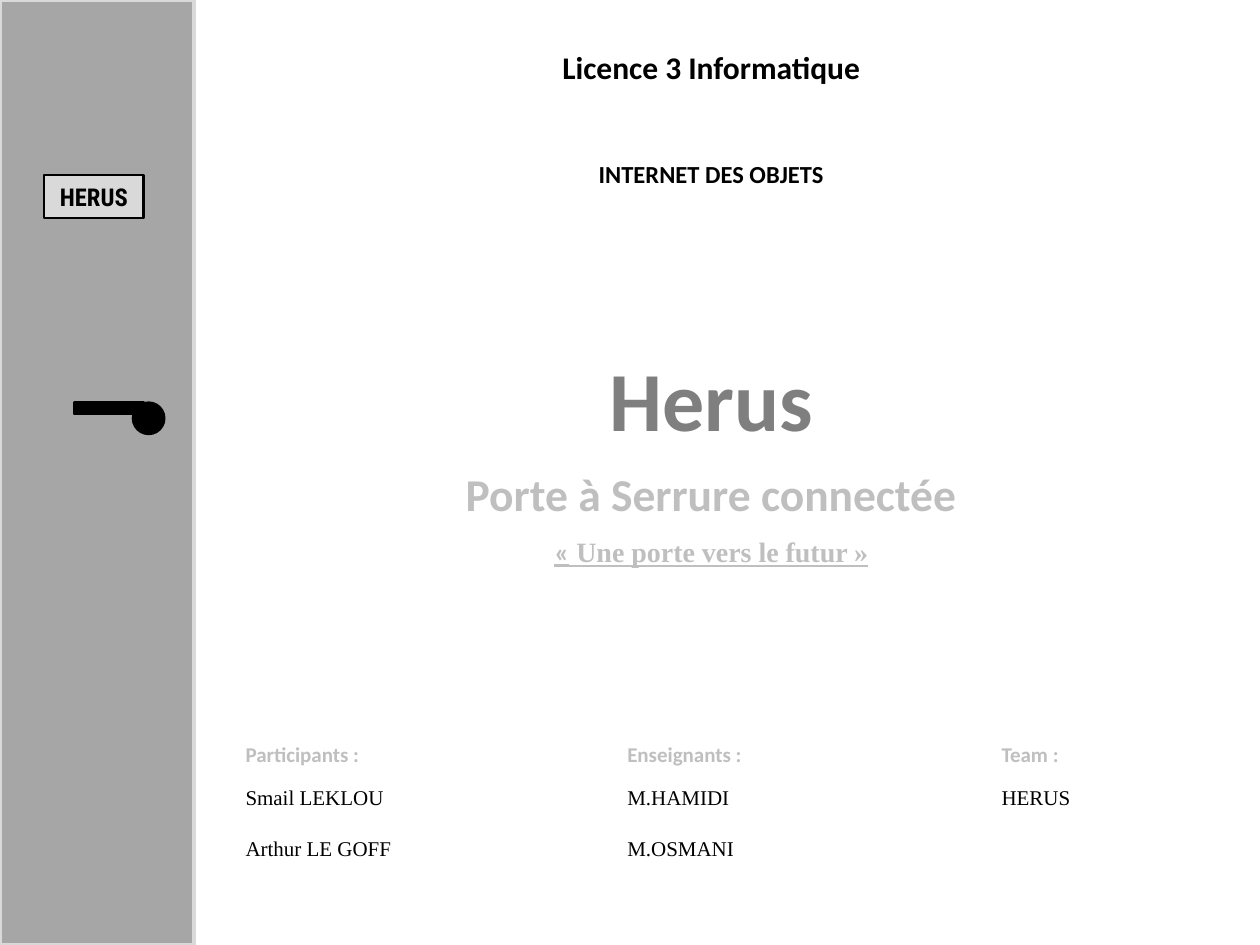
from pptx import Presentation
from pptx import util as u
from pptx.dml.color import RGBColor
from pptx.enum import shapes, text
from pptx.oxml.ns import qn
from lxml import etree

COLORS = {
    "door": "A6A6A6",
    "plate": "D9D9D9",
    "black": "000000",
    "white": "FFFFFF",
    "title": "7F7F7F",
    "soft": "BFBFBF",
}
SANS, SERIF, PLATE = "Calibri", "Times New Roman", "Roboto Condensed"
RECT, OVAL = shapes.MSO_SHAPE.RECTANGLE, shapes.MSO_SHAPE.OVAL
COLUMN_TABS = (3.03, 6.0)


class Builder:
    def __init__(self, page):
        self.page = page

    def color(self, name):
        return RGBColor.from_string(COLORS[name])

    def shape(self, kind, left, top, width, height, fill, line=None, weight=2):
        box = self.page.shapes.add_shape(
            kind, *(u.Inches(n) for n in (left, top, width, height)))
        box.shadow.inherit = False
        box.fill.solid()
        box.fill.fore_color.rgb = self.color(fill)
        if line:
            box.line.color.rgb = self.color(line)
            box.line.width = u.Pt(weight)
        else:
            box.line.fill.background()
        return box

    def paragraph(self, box, first=False, before=0, after=10, centered=True):
        frame = box.text_frame
        para = frame.paragraphs[0] if first else frame.add_paragraph()
        para.alignment = text.PP_ALIGN.CENTER if centered else text.PP_ALIGN.LEFT
        para.space_before, para.space_after = u.Pt(before), u.Pt(after)
        return para

    def span(self, para, words, size, color="black", font=SANS, bold=True,
             underline=False):
        span = para.add_run()
        span.text = words
        span.font.size = u.Pt(size)
        span.font.name = font
        span.font.bold = bold
        span.font.underline = underline
        span.font.color.rgb = self.color(color)

    def columns(self, box, cells, before, after=0, **style):
        para = self.paragraph(box, before=before, after=after, centered=False)
        self.span(para, "\t".join(cells), 12, **style)
        tabs = etree.SubElement(para._p.get_or_add_pPr(), qn("a:tabLst"))
        for position in COLUMN_TABS:
            etree.SubElement(tabs, qn("a:tab"), pos=str(u.Inches(position)), algn="l")


def main():
    deck = Presentation()
    deck.slide_width, deck.slide_height = u.Inches(10), u.Inches(7.5)
    build = Builder(deck.slides.add_slide(deck.slide_layouts[6]))

    # Door with its name plate
    build.shape(RECT, 0, 0, 1.54, 7.5, "door", "plate")
    plate = build.shape(RECT, 0.35, 1.39, 0.79, 0.34, "plate", "black", 1.5)
    plate.text_frame.word_wrap = False
    plate.text_frame.vertical_anchor = text.MSO_ANCHOR.MIDDLE
    build.span(build.paragraph(plate, first=True, after=0), "HERUS", 14, font=PLATE)

    # Door handle
    build.shape(OVAL, 1.06, 3.2, 0.24, 0.24, "black", "black")
    build.shape(RECT, 0.59, 3.2, 0.55, 0.08, "black", "black")

    # Cover text panel
    panel = build.shape(RECT, 1.85, 0, 7.59, 7.37, "white")
    frame = panel.text_frame
    frame.word_wrap = True
    frame.vertical_anchor = text.MSO_ANCHOR.TOP
    frame.margin_top = u.Inches(0.38)

    # Course, title and subtitle: words, size, colour, space before and after
    headings = [
        ("Licence 3 Informatique", 18, "black", 0, 10),
        ("INTERNET DES OBJETS", 14, "black", 32, 10),
        ("Herus", 48, "title", 81, 10),
        ("Porte à Serrure connectée", 26, "soft", 0, 8),
    ]
    for index, (words, size, color, before, after) in enumerate(headings):
        para = build.paragraph(panel, index == 0, before, after)
        build.span(para, words, size, color)

    # Tagline
    tagline = build.paragraph(panel)
    for words, font in (("«", SANS), (" Une porte vers le futur »", SERIF)):
        build.span(tagline, words, 16, "soft", font, underline=True)

    # People, in three columns
    build.columns(panel, ("Participants :", "Enseignants :", "Team :"),
                  before=89, after=10, color="soft")
    people = [("Smail LEKLOU", "M.HAMIDI", "HERUS"), ("Arthur LE GOFF", "M.OSMANI")]
    for index, cells in enumerate(people):
        build.columns(panel, cells, before=15 * index, font=SERIF, bold=False)

    deck.save("out.pptx")


if __name__ == "__main__":
    main()
